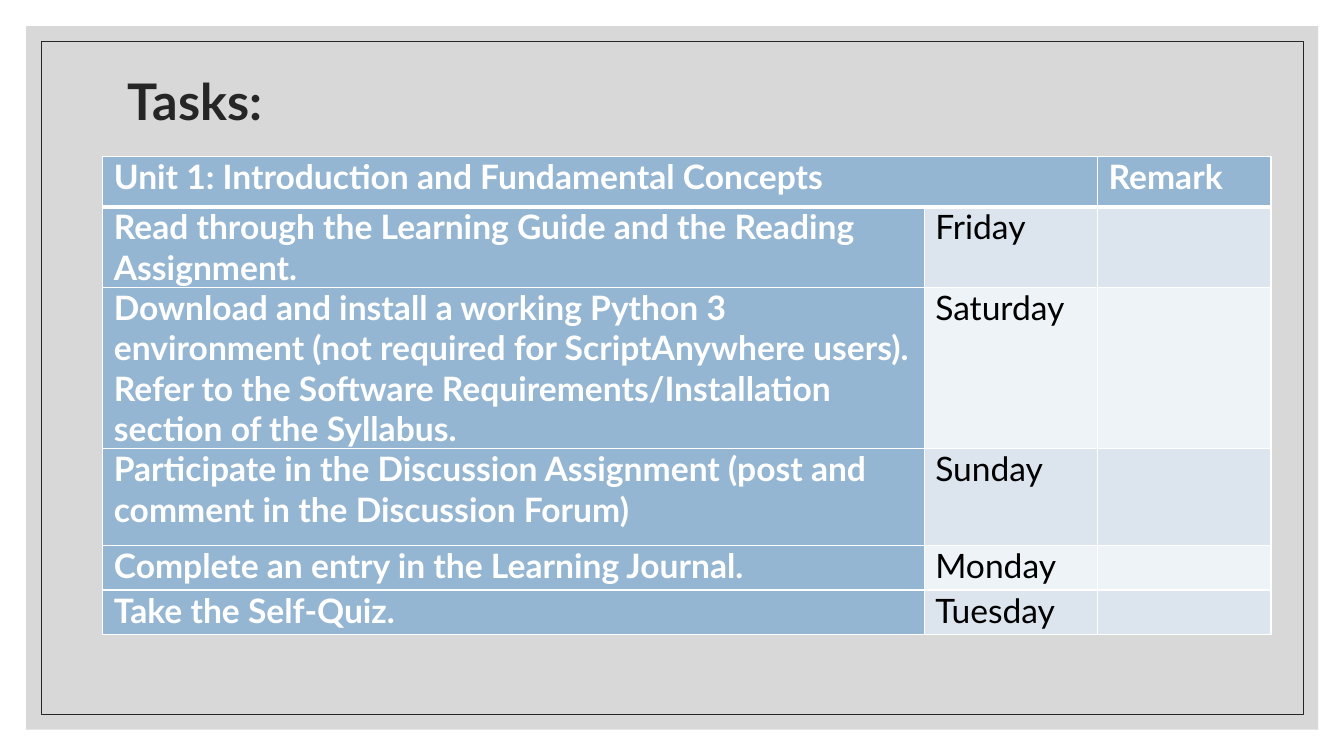
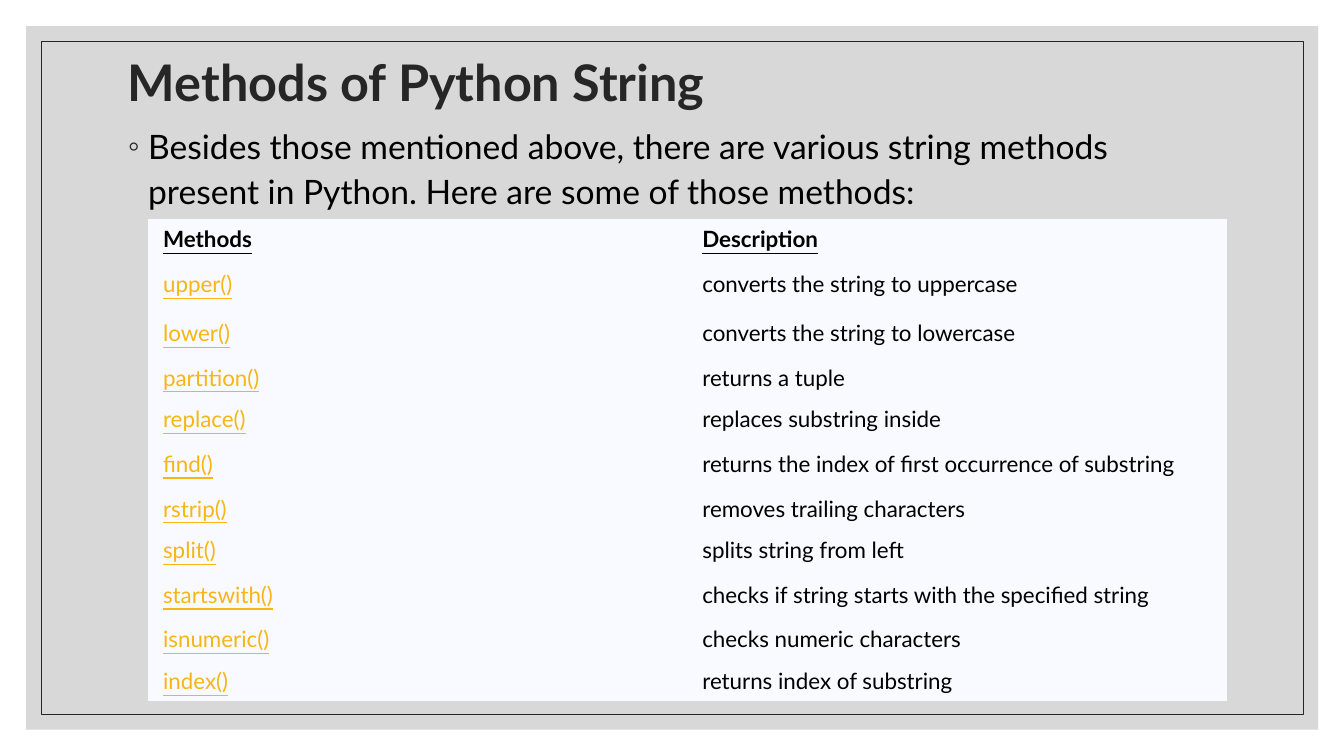
from lxml.etree import SubElement
from pptx import Presentation
from pptx.dml.color import RGBColor
from pptx.enum.shapes import MSO_SHAPE
from pptx.enum.text import MSO_ANCHOR, MSO_AUTO_SIZE, PP_ALIGN
from pptx.oxml import parse_xml
from pptx.oxml.ns import nsdecls, qn
from pptx.util import Cm, Pt

FONT = "Lato"
COLORS = {
    "panel": "BFBFBF", "dark": "262626", "black": "000000", "white": "FFFFFF",
    "header": "94B6D2", "band": "DCE5EE", "light band": "EEF3F7",
    "sheet": "F8FAFF", "method": "F7B615",
}
TASKS = [
    ("Read through the Learning Guide and the Reading Assignment.", "Friday"),
    ("Download and install a working Python 3 environment (not required for "
     "ScriptAnywhere users). Refer to the Software Requirements/Installation "
     "section of the Syllabus.", "Saturday"),
    ("Participate in the Discussion Assignment (post and comment in the "
     "Discussion Forum)", "Sunday"),
    ("Complete an entry in the Learning Journal.", "Monday"),
    ("Take the Self-Quiz.", "Tuesday"),
]
METHODS = [
    ("upper()", "converts the string to uppercase"),
    ("lower()", "converts the string to lowercase"),
    ("partition()", "returns a tuple"),
    ("replace()", "replaces substring inside"),
    ("find()", "returns the index of first occurrence of substring"),
    ("rstrip()", "removes trailing characters"),
    ("split()", "splits string from left"),
    ("startswith()", "checks if string starts with the specified string"),
    ("isnumeric()", "checks numeric characters"),
    ("index()", "returns index of substring"),
]
TALL_METHODS = {"upper()", "lower()", "find()", "startswith()"}


def rgb(name):
    """Return the named colour."""
    return RGBColor.from_string(COLORS[name])


def style_font(paragraph, size, color, bold=False, underline=False):
    """Format all the text of a paragraph."""
    font = paragraph.font
    font.name, font.size = FONT, Pt(size)
    font.bold, font.underline = bold, underline
    font.color.rgb = rgb(color)


def place(shape, left, top, width, height):
    """Move and size a shape, in centimetres."""
    shape.left, shape.top = Cm(left), Cm(top)
    shape.width, shape.height = Cm(width), Cm(height)


def add_frame(deck, page):
    """Draw the panel and its outline and move them to the slide master."""
    panel = page.shapes.add_shape(
        MSO_SHAPE.RECTANGLE, Cm(0.66), Cm(0.66), Cm(32.56), Cm(17.73))
    panel.fill.solid()
    panel.fill.fore_color.rgb = rgb("panel")
    panel_color = panel.element.spPr.find(".//" + qn("a:srgbClr"))
    SubElement(panel_color, qn("a:alpha")).set("val", "60000")
    panel.line.fill.background()
    outline = page.shapes.add_shape(
        MSO_SHAPE.RECTANGLE, Cm(1.04), Cm(1.04), Cm(32.06), Cm(16.97))
    place(outline, 1.04, 1.04, 31.8, 16.97)
    outline.fill.background()
    outline.line.color.rgb = rgb("dark")
    outline.line.width = Pt(0.5)
    for position, box in enumerate((panel, outline), start=2):
        box.shadow.inherit = False
        deck.slide_master.shapes.element.insert(position, box.element)


def set_title(page, text, top, height):
    """Fill and format the title placeholder."""
    title = page.shapes.title
    place(title, 2.97, top, 27.94, height)
    title.text_frame.text = text
    title.text_frame.auto_size = MSO_AUTO_SIZE.NONE
    title.text_frame.vertical_anchor = MSO_ANCHOR.MIDDLE
    para = title.text_frame.paragraphs[0]
    para.alignment = PP_ALIGN.LEFT
    para.line_spacing = 0.9
    style_font(para, 36, "dark", bold=True)


def set_bullet(page, text):
    """Fill the body placeholder with one bulleted paragraph."""
    body = page.placeholders[1]
    place(body, 2.97, 2.95, 27.94, 13.59)
    body.text_frame.text = text
    body.text_frame.auto_size = MSO_AUTO_SIZE.NONE
    para = body.text_frame.paragraphs[0]
    para.line_spacing = 1.1
    para.space_before = Pt(0)
    properties = para._p.get_or_add_pPr()
    properties.set("marL", str(Cm(0.51)))
    properties.set("indent", str(-Cm(0.51)))
    bullet_color = SubElement(properties, qn("a:buClr"))
    SubElement(bullet_color, qn("a:srgbClr")).set("val", COLORS["dark"])
    SubElement(properties, qn("a:buChar")).set("char", "◦")
    style_font(para, 24, "black")


def add_grid(page, left, top, widths, heights):
    """Add a plain table with the given column widths and row heights."""
    frame = page.shapes.add_table(
        len(heights), len(widths), Cm(left), Cm(top),
        Cm(sum(widths)), Cm(sum(heights)))
    grid = frame.table
    grid.first_row = grid.horz_banding = False
    for column, width in zip(grid.columns, widths):
        column.width = Cm(width)
    for row, height in zip(grid.rows, heights):
        row.height = Cm(height)
    return grid


def fill_cell(cell, text, fill, margins, **font):
    """Write a cell with its fill and left, top, right, bottom margins."""
    cell.text = text
    cell.fill.solid()
    cell.fill.fore_color.rgb = rgb(fill)
    (cell.margin_left, cell.margin_top,
     cell.margin_right, cell.margin_bottom) = map(Cm, margins)
    style_font(cell.text_frame.paragraphs[0], **font)


def set_borders(cell, **widths):
    """Give the sides L, R, T and B white lines in points, or none for 0."""
    properties = cell._tc.get_or_add_tcPr()
    for position, side in enumerate("LRTB"):
        width = widths.get(side, 0)
        paint = (f'<a:solidFill><a:srgbClr val="{COLORS["white"]}"/></a:solidFill>'
                 if width else "<a:noFill/>")
        properties.insert(position, parse_xml(
            f'<a:ln{side} {nsdecls("a")} w="{Pt(width)}">{paint}</a:ln{side}>'))


def add_task_table(page):
    """Add the table of tasks and days."""
    heights = [1.27, 2.03, 4.06, 2.44, 1.12, 1.12]
    grid = add_grid(page, 2.59, 3.94, [20.7, 4.37, 4.37], heights)
    rows = [("Unit 1: Introduction and Fundamental Concepts", "", "Remark")]
    rows += [(task, day, "") for task, day in TASKS]
    for r, row in enumerate(rows):
        band = "band" if r % 2 else "light band"
        for c, text in enumerate(row):
            heading = r == 0 or c == 0
            cell = grid.cell(r, c)
            fill_cell(cell, text, "header" if heading else band,
                      (0.28, 0, 0.18, 0), size=24, bold=heading,
                      color="white" if heading else "black")
            set_borders(cell, L=1, R=1, T=3 if r == 1 else 1,
                        B=3 if r == 0 else 1)
    grid.cell(0, 0).merge(grid.cell(0, 1))


def add_method_table(page):
    """Add the table of string methods."""
    rows = [("Methods", "Description")] + METHODS
    heights = [1.22 if name in TALL_METHODS else 1.04 for name, _ in rows]
    grid = add_grid(page, 3.73, 5.51, [13.59, 13.59], heights)
    for r, row in enumerate(rows):
        for c, text in enumerate(row):
            cell = grid.cell(r, c)
            fill_cell(cell, text, "sheet", (0.38, 0.18, 0.38, 0.18), size=16,
                      color="method" if r and c == 0 else "black",
                      bold=r == 0, underline=r == 0 or c == 0)
            cell.vertical_anchor = MSO_ANCHOR.MIDDLE
            set_borders(cell)


def main():
    """Build and save the deck."""
    deck = Presentation()
    deck.slide_width, deck.slide_height = Cm(33.87), Cm(19.05)

    tasks = deck.slides.add_slide(deck.slide_layouts.get_by_name("Title Only"))
    add_frame(deck, tasks)
    set_title(tasks, "Tasks:", 1.78, 1.68)
    add_task_table(tasks)

    methods = deck.slides.add_slide(
        deck.slide_layouts.get_by_name("Title and Content"))
    set_title(methods, "Methods of Python String", 1.35, 1.6)
    set_bullet(methods, "Besides those mentioned above, there are various string "
               "methods present in Python. Here are some of those methods:")
    add_method_table(methods)
    deck.save("out.pptx")


if __name__ == "__main__":
    main()
